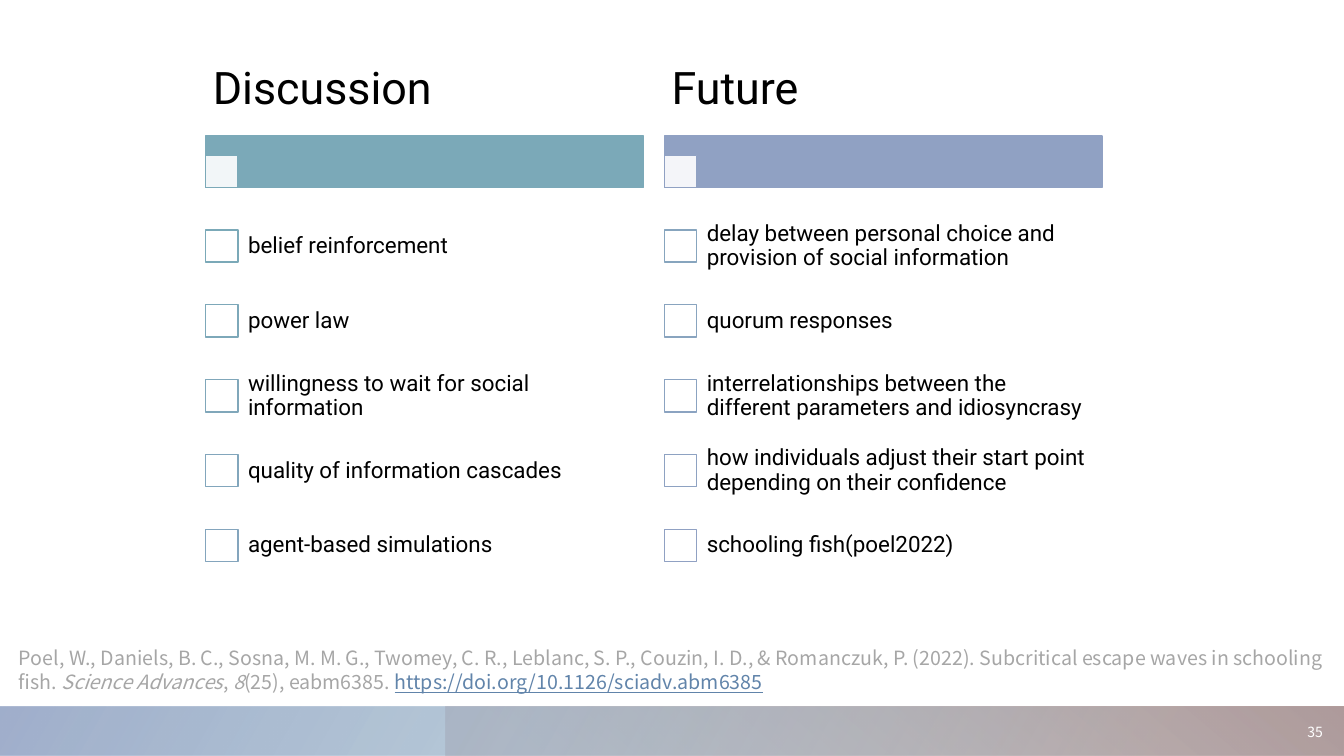
from lxml.etree import SubElement
from pptx import Presentation
from pptx.dml.color import RGBColor
from pptx.enum.shapes import MSO_SHAPE as Kind
from pptx.enum.text import MSO_ANCHOR as Anchor, MSO_AUTO_SIZE as Auto, PP_ALIGN as Align
from pptx.oxml.ns import qn
from pptx.util import Inches, Pt

WHITE = RGBColor(0xFF, 0xFF, 0xFF)
BLACK = RGBColor(0x00, 0x00, 0x00)
GRAY = RGBColor(0xA6, 0xA6, 0xA6)
LINK = RGBColor(0x61, 0x84, 0xAA)
TEAL = RGBColor(0x7B, 0xA9, 0xB8)
BLUE = RGBColor(0x90, 0xA1, 0xC3)
PINK = RGBColor(0xDC, 0xC1, 0xBD)
ROSE = RGBColor(0xC4, 0x97, 0x91)
SANS, NOTO = "Roboto", "Noto Sans CJK SC"

COLUMNS = [
    ("Discussion", 1, 2.04, TEAL, [
        "belief reinforcement",
        "power law",
        "willingness to wait for social information",
        "quality of information cascades",
        "agent-based simulations",
    ]),
    ("Future", 3, 6.59, BLUE, [
        "delay between personal choice and provision of social information",
        "quorum responses",
        "interrelationships between the different parameters and idiosyncrasy",
        "how individuals adjust their start point depending on their confidence",
        "schooling fish(poel2022)",
    ]),
]
SOURCE = [
    ("Poel, W., Daniels, B. C., Sosna, M. M. G., Twomey, C. R., Leblanc, S. P., "
     "Couzin, I. D., & Romanczuk, P. (2022). Subcritical escape waves in schooling fish. ", {}),
    ("Science Advances", {"italic": True}),
    (", ", {}),
    ("8", {"italic": True}),
    ("(25), eabm6385. ", {}),
    ("https://doi.org/10.1126/sciadv.abm6385", {"underline": True, "color": LINK}),
]
PAGE = "35"
BANDS = [
    ((4.42, 7.01, 8.92, 0.49), 0, 230, [(0.09, PINK, 68), (0.99, ROSE, 100)]),
    ((0, 7.01, 13.33, 0.49), 180, 150, [(0.14, TEAL, 28), (1, BLUE, 85)]),
]

HEAD = {"name": SANS, "size": Pt(32), "bold": False, "color": BLACK}
ITEM = {"name": SANS, "size": Pt(16), "color": BLACK}
CITE = {"name": NOTO, "size": Pt(14), "color": GRAY}
NUMBER = {"name": NOTO, "size": Pt(10), "color": WHITE}
TIGHT = {"line_spacing": 0.9, "space_before": Pt(0), "alignment": Align.LEFT}
TOP, STEP, WIDE, BOX, SHIFT = 2.07, 0.743, 4.34, 0.32, 0.30


def apply(part, form):
    for key, value in form.items():
        if key == "color":
            part.color.rgb = value
        else:
            setattr(part, key, value)


def place(shape, spot):
    sides = ("left", "top", "width", "height")
    apply(shape, dict(zip(sides, map(Inches, spot))))


def write(shape, runs, font, para, pads, anchor=Anchor.MIDDLE):
    frame = shape.text_frame
    apply(frame, {"word_wrap": True, "auto_size": Auto.NONE, "vertical_anchor": anchor})
    sides = ("margin_left", "margin_top", "margin_right", "margin_bottom")
    apply(frame, dict(zip(sides, map(Inches, pads))))
    line = frame.paragraphs[0]
    apply(line, para)
    for text, form in runs:
        run = line.add_run()
        run.text = text
        apply(run.font, {**font, **form})


def label(slide, spot, *style):
    write(slide.shapes.add_textbox(*map(Inches, spot)), *style)


def block(slide, spot):
    shape = slide.shapes.add_shape(Kind.RECTANGLE, *map(Inches, spot))
    shape.shadow.inherit = False
    return shape


def fade(color, amount):
    SubElement(color, qn("a:alpha"), val=str(amount * 1000))


def square(slide, spot, fill, edge, amount=100):
    shape = block(slide, spot)
    shape.fill.solid()
    shape.fill.fore_color.rgb = fill
    if amount < 100:
        fade(shape.fill._xPr.find(".//" + qn("a:srgbClr")), amount)
    shape.line.color.rgb = edge
    shape.line.width = Pt(1)


def band(slide, spot, turn, angle, stops):
    shape = block(slide, spot)
    shape.line.fill.background()
    shape.rotation = turn
    props = shape._element.spPr
    props.find(qn("a:xfrm")).set("flipH", "1")
    shape.fill.gradient()
    for stop, (place_at, color, amount) in zip(shape.fill.gradient_stops, stops):
        stop.position = place_at
        stop.color.rgb = color
        if amount < 100:
            fade(stop._gs.find(qn("a:srgbClr")), amount)
    ramp = props.find(".//" + qn("a:lin"))
    ramp.set("ang", str(angle * 60000))
    ramp.set("scaled", "0")


def blend(part):
    return RGBColor(*(round(a + (b - a) * part) for a, b in zip(TEAL, BLUE)))


def main():
    deck = Presentation()
    deck.slide_width, deck.slide_height = Inches(13.33), Inches(7.5)
    slide = deck.slides.add_slide(deck.slide_layouts[4])
    heads = {hold.placeholder_format.idx: hold for hold in slide.placeholders}

    for spot, turn, angle, stops in BANDS:
        band(slide, spot, turn, angle, stops)
    label(slide, (12.76, 7.01, 0.48, 0.49), [(PAGE, {})], NUMBER,
          {"alignment": Align.RIGHT}, (0.12, 0.12, 0.12, 0.1))

    total = sum(len(items) for *_, items in COLUMNS)
    count = 0
    for title, idx, left, color, items in COLUMNS:
        square(slide, (left, 1.35, WIDE, 0.51), color, color)
        square(slide, (left, 1.54, BOX, BOX), WHITE, color, 90)
        head = heads.pop(idx)
        place(head, (left, 0.43, WIDE, 0.92))
        write(head, [(title, {})], HEAD, TIGHT, (0.07, 0.04, 0.07, 0.04))
        for row, item in enumerate(items):
            top = TOP + row * STEP
            square(slide, (left, top + 0.21, BOX, BOX), WHITE, blend(count / (total - 1)))
            label(slide, (left + SHIFT, top, WIDE - SHIFT, STEP), [(item, {})],
                  ITEM, TIGHT, (0.12,) * 4)
            count += 1

    label(slide, (0.09, 6.36, 13.24, 0.57), SOURCE, CITE, {},
          (0.1, 0.05, 0.1, 0.05), Anchor.TOP)
    for spare in heads.values():
        spare._element.getparent().remove(spare._element)
    deck.save("out.pptx")


if __name__ == "__main__":
    main()
